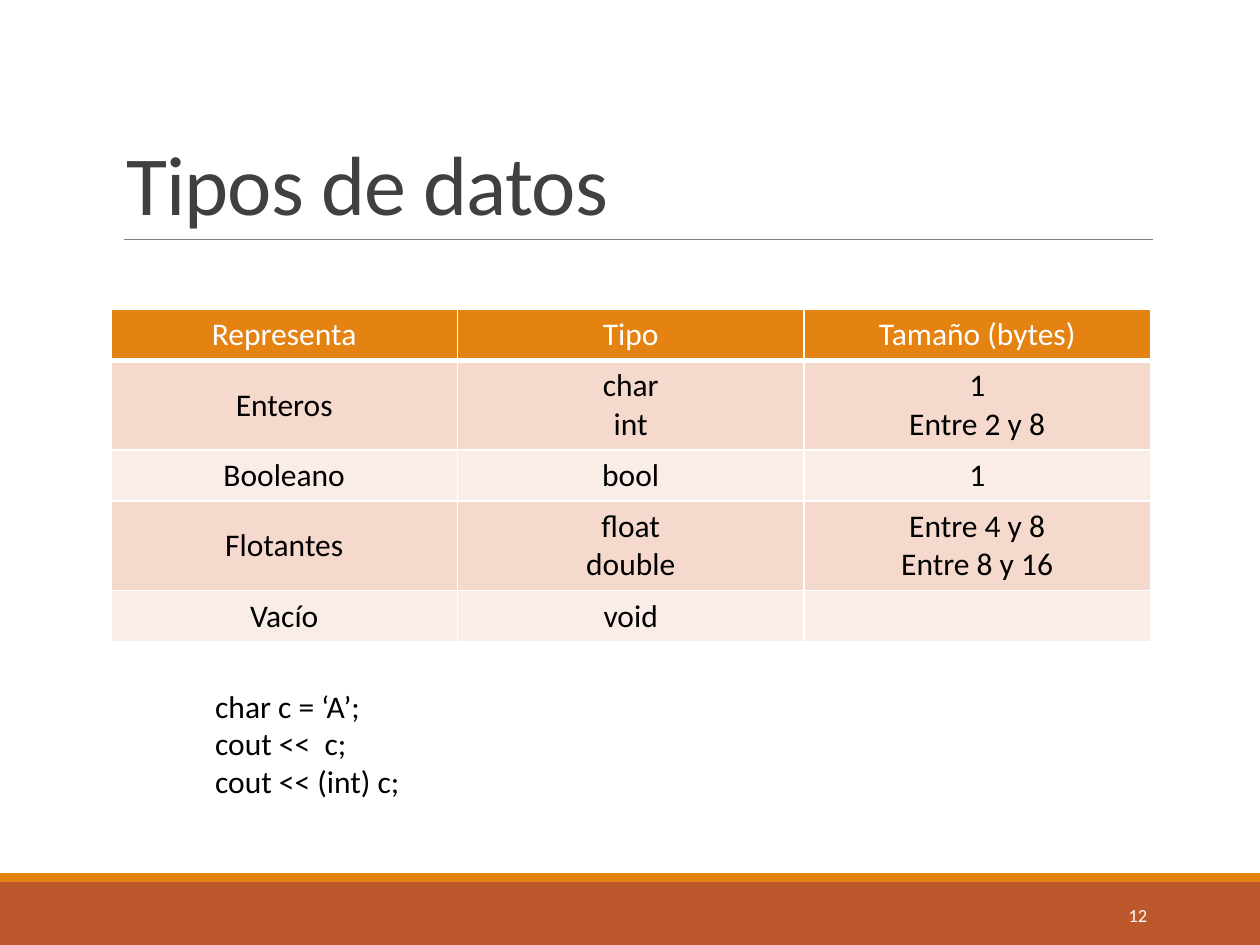
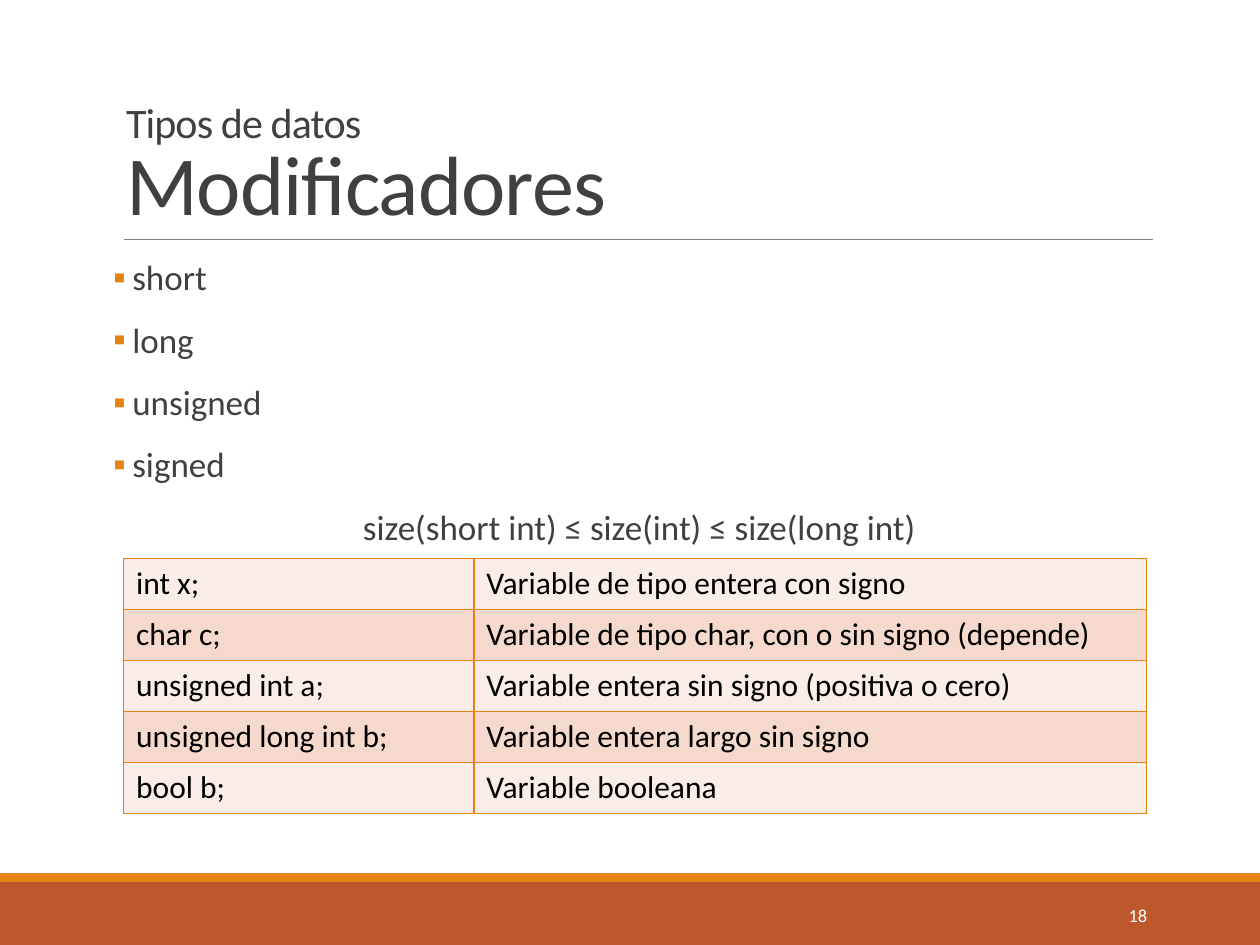
"""Two lesson slides on C++ data types: a type table and a modifier table."""
from copy import deepcopy

from lxml import etree
from pptx import Presentation
from pptx.dml.color import RGBColor
from pptx.enum import shapes, text
from pptx.oxml import ns
from pptx.util import Pt

WHITE = RGBColor(0xFF, 0xFF, 0xFF)
BLACK = RGBColor(0x00, 0x00, 0x00)
INK = RGBColor(0x40, 0x40, 0x40)
RULE_GREY = RGBColor(0x80, 0x80, 0x80)
ORANGE = RGBColor(0xE4, 0x83, 0x12)
RUST = RGBColor(0xBD, 0x58, 0x2C)
PINK = RGBColor(0xF5, 0xD9, 0xCC)
PALE = RGBColor(0xFA, 0xED, 0xE7)

FONT = "Calibri"
SLIDE_W, SLIDE_H = 720, 540
TITLE_BOX = (64.8, 22.3, 594, 114.5)
FOOTER_BOX = (0, 499, SLIDE_W, 41)
LEFT, CENTER, RIGHT = text.PP_ALIGN.LEFT, text.PP_ALIGN.CENTER, text.PP_ALIGN.RIGHT
TOP, MIDDLE, BOTTOM = text.MSO_ANCHOR.TOP, text.MSO_ANCHOR.MIDDLE, text.MSO_ANCHOR.BOTTOM
TITLE_PARAGRAPH = {"alignment": LEFT, "line_spacing": 0.85, "space_before": Pt(0)}
LIST_PARAGRAPH = {"line_spacing": 0.9, "space_before": Pt(12), "space_after": Pt(2)}
LINE_H, CELL_PADDING = 21.9, 7.3


def apply(target, values):
    """Set each named attribute of target."""
    for name, value in values.items():
        setattr(target, name, value)


def style_font(font, size, color):
    """Give a font the deck's typeface, with a size and a colour."""
    apply(font, {"name": FONT, "size": Pt(size), "bold": False})
    font.color.rgb = color


def place(shape, box):
    """Move a shape to a box of left, top, width and height."""
    apply(shape, dict(zip(("left", "top", "width", "height"), map(Pt, box))))


def write_lines(frame, lines, size, color, align=LEFT, anchor=TOP):
    """Fill a text frame with one paragraph for each line."""
    apply(frame, {"word_wrap": True, "vertical_anchor": anchor})
    for i, line in enumerate(lines):
        paragraph = frame.paragraphs[0] if i == 0 else frame.add_paragraph()
        paragraph.alignment = align
        run = paragraph.add_run()
        run.text = line
        style_font(run.font, size, color)


def add_text(slide, box, lines, size, color, **layout):
    """Add a text box holding the given lines."""
    frame = slide.shapes.add_textbox(*map(Pt, box)).text_frame
    write_lines(frame, lines, size, color, **layout)


def add_band(slide, box, color):
    """Add a flat bar without outline."""
    band = slide.shapes.add_shape(shapes.MSO_SHAPE.RECTANGLE, *map(Pt, box))
    band.shadow.inherit = False
    band.fill.solid()
    band.fill.fore_color.rgb = color
    band.line.fill.background()


def add_footer(slide, box, number):
    """Add the two bottom bands and the slide number."""
    left, top, width, height = box
    stripe = 5
    add_band(slide, (left, top + stripe, width, height - stripe), RUST)
    add_band(slide, (left, top, width, stripe), ORANGE)
    add_text(slide, (left + width - 135.3, top + 9.3, 77.8, 28.8), [str(number)],
             10.5, WHITE, align=RIGHT, anchor=MIDDLE)


def add_title(slide, box, heading, kicker=None):
    """Fill the title, with an optional smaller line above, and underline it."""
    title = slide.shapes.title
    place(title, box)
    apply(title.text_frame, {"word_wrap": True, "vertical_anchor": BOTTOM,
                             "auto_size": text.MSO_AUTO_SIZE.NONE})
    paragraph = title.text_frame.paragraphs[0]
    apply(paragraph, TITLE_PARAGRAPH)
    for line, size in ((kicker, 24), (heading, 48)):
        if not line:
            continue
        run = paragraph.add_run()
        run.text = line
        style_font(run.font, size, INK)
        properties = run._r.get_or_add_rPr()
        properties.set("spc", "-50")
        if line == kicker:
            paragraph.add_line_break()
            paragraph._p[-1].append(deepcopy(properties))

    left, top, width, height = box
    rule_y = Pt(top + height)
    rule = slide.shapes.add_connector(shapes.MSO_CONNECTOR.STRAIGHT,
                                      Pt(left + 5.8), rule_y, Pt(left + width), rule_y)
    rule.line.width = Pt(0.5)
    rule.line.color.rgb = RULE_GREY
    etree.SubElement(rule._element.spPr, ns.qn("a:effectLst"))


def set_bullet(paragraph, mark=None):
    """Hang a coloured bullet before a paragraph, or only indent it."""
    properties = paragraph._p.get_or_add_pPr()
    indent = 10.8 if mark else 7.2
    properties.set("marL", str(Pt(indent)))
    properties.set("indent", str(-Pt(indent) if mark else 0))
    if not mark:
        etree.SubElement(properties, ns.qn("a:buNone"))
        return
    color = etree.SubElement(properties, ns.qn("a:buClr"))
    etree.SubElement(color, ns.qn("a:srgbClr"), val=str(ORANGE))
    etree.SubElement(properties, ns.qn("a:buFont"), typeface=FONT)
    etree.SubElement(properties, ns.qn("a:buChar"), char=mark)


def add_list(slide, box, items, conclusion):
    """Fill the body with bulleted items and a centred closing line."""
    body = slide.placeholders[1]
    place(body, box)
    frame = body.text_frame
    apply(frame, {"margin_left": 0, "margin_right": 0,
                  "auto_size": text.MSO_AUTO_SIZE.NONE})
    write_lines(frame, [*items, conclusion], 20, INK)
    for paragraph in frame.paragraphs:
        apply(paragraph, LIST_PARAGRAPH)
    for paragraph in frame.paragraphs[:-1]:
        set_bullet(paragraph, "▪")
    closing = frame.paragraphs[-1]
    closing.alignment = CENTER
    set_bullet(closing)


def set_borders(cell, color, bottom=1):
    """Draw the four sides of a cell, the bottom one with its own width."""
    properties = cell._tc.get_or_add_tcPr()
    for side, width in (("L", 1), ("R", 1), ("T", 1), ("B", bottom)):
        line = etree.SubElement(properties, ns.qn(f"a:ln{side}"), w=str(Pt(width)))
        fill = etree.SubElement(line, ns.qn("a:solidFill"))
        etree.SubElement(fill, ns.qn("a:srgbClr"), val=str(color))


def add_grid(slide, origin, widths, rows, border, header=False, align=LEFT, anchor=TOP):
    """Add a banded table; a newline in a cell starts a new paragraph."""
    heights = [LINE_H * max(value.count("\n") + 1 for value in row) + CELL_PADDING
               for row in rows]
    box = (*origin, sum(widths), sum(heights))
    table = slide.shapes.add_table(len(rows), len(widths), *map(Pt, box)).table
    apply(table, {"first_row": header, "horz_banding": False})
    for column, width in zip(table.columns, widths):
        column.width = Pt(width)
    for r, (row, height) in enumerate(zip(rows, heights)):
        table.rows[r].height = Pt(height)
        is_header = header and r == 0
        band = PINK if r % 2 else PALE
        for c, value in enumerate(row):
            cell = table.cell(r, c)
            set_borders(cell, border, bottom=3 if is_header else 1)
            cell.fill.solid()
            cell.fill.fore_color.rgb = ORANGE if is_header else band
            cell.vertical_anchor = anchor
            if value:
                write_lines(cell.text_frame, value.split("\n"), 18,
                            WHITE if is_header else BLACK, align, None)


def build_types_slide(deck):
    """Build the table of types with a short code sample."""
    slide = deck.slides.add_slide(deck.slide_layouts[5])
    add_title(slide, TITLE_BOX, "Tipos de datos")
    types = [
        ("Representa", "Tipo", "Tamaño (bytes)"),
        ("Enteros", "char\nint", "1\nEntre 2 y 8"),
        ("Booleano", "bool", "1"),
        ("Flotantes", "float\ndouble", "Entre 4 y 8\nEntre 8 y 16"),
        ("Vacío", "void", ""),
    ]
    add_grid(slide, (63.4, 176.8), [198] * 3, types, WHITE,
             header=True, align=CENTER, anchor=MIDDLE)
    add_footer(slide, FOOTER_BOX, 12)
    add_text(slide, (115.9, 388.8, 259.2, 72.7),
             ["char c = ‘A’;", "cout <<  c;", "cout << (int) c;"], 18, BLACK)


def build_modifiers_slide(deck):
    """Build the list of modifiers with example declarations."""
    slide = deck.slides.add_slide(deck.slide_layouts[1])
    add_title(slide, TITLE_BOX, "Modificadores", kicker="Tipos de datos")
    add_list(slide, (64.8, 145.4, 594, 316.8), ["short", "long", "unsigned", "signed"],
             "size(short int) ≤ size(int) ≤ size(long int)")
    add_footer(slide, FOOTER_BOX, 18)
    declarations = [
        ("int x;", "Variable de tipo entera con signo"),
        ("char c;", "Variable de tipo char, con o sin signo (depende)"),
        ("unsigned int a;", "Variable entera sin signo (positiva o cero)"),
        ("unsigned long int b;", "Variable entera largo sin signo"),
        ("bool b;", "Variable booleana"),
    ]
    add_grid(slide, (70.6, 319), [200.2, 384.4], declarations, ORANGE)


def main():
    """Build and save the deck."""
    deck = Presentation()
    apply(deck, {"slide_width": Pt(SLIDE_W), "slide_height": Pt(SLIDE_H)})
    build_types_slide(deck)
    build_modifiers_slide(deck)
    deck.save("out.pptx")


main()
